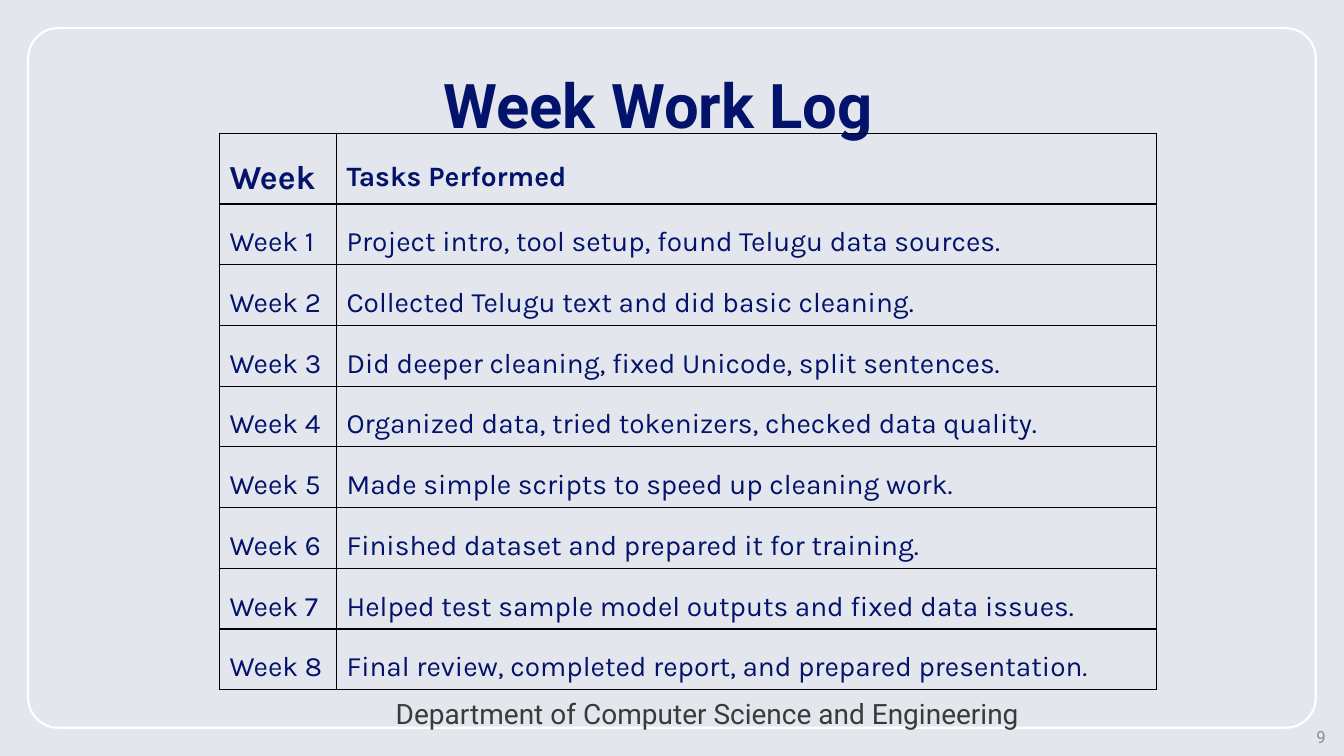
from lxml.etree import SubElement
from pptx import Presentation
from pptx.dml.color import RGBColor
from pptx.enum.shapes import MSO_SHAPE as Shape
from pptx.enum.text import MSO_ANCHOR as Anchor, MSO_AUTO_SIZE as AutoSize, PP_ALIGN as Align
from pptx.oxml.ns import qn
from pptx.util import Cm, Pt

TITLE = "Week Work Log"
DEPARTMENT = "Department of Computer Science and Engineering"
PAGE_NUMBER = "9"
HEADINGS = ("Week", "Tasks Performed")
TASKS = [
    "Project intro, tool setup, found Telugu data sources.",
    "Collected Telugu text and did basic cleaning.",
    "Did deeper cleaning, fixed Unicode, split sentences.",
    "Organized data, tried tokenizers, checked data quality.",
    "Made simple scripts to speed up cleaning work.",
    "Finished dataset and prepared it for training.",
    "Helped test sample model outputs and fixed data issues.",
    "Final review, completed report, and prepared presentation.",
]

NAVY, BLACK, WHITE = "03126A", "000000", "FFFFFF"
BACKGROUND, FOOTER_GREY, NUMBER_GREY = "E3E7ED", "3A3A3A", "8C8C8C"
SLIDE_WIDTH, SLIDE_HEIGHT, FRAME_MARGIN = 33.87, 19.05, 0.71
TABLE_LEFT, TABLE_TOP = 5.53, 3.36
COLUMN_WIDTHS = (2.95, 20.66)
HEADER_HEIGHT, ROW_HEIGHT = 1.77, 1.53


def color(hex_string):
    return RGBColor.from_string(hex_string)


def place(shape, left, top, width, height):
    shape.left, shape.top = Cm(left), Cm(top)
    shape.width, shape.height = Cm(width), Cm(height)


def write(frame, text, size=20, font="Roboto", fill=NAVY, bold=False,
          align=Align.LEFT, spacing=1.0):
    frame.word_wrap = True
    paragraph = frame.paragraphs[0]
    paragraph.alignment = align
    paragraph.line_spacing = spacing
    run = paragraph.add_run()
    run.text = text
    run.font.name, run.font.size, run.font.bold = font, Pt(size), bold
    run.font.color.rgb = color(fill)


def add_label(slide, text, box, **text_format):
    label = slide.shapes.add_textbox(*map(Cm, box))
    label.text_frame.vertical_anchor = Anchor.MIDDLE
    write(label.text_frame, text, **text_format)


def outline_cell(cell):
    """Draw a thin black border on all four sides of a cell."""
    properties = cell._tc.get_or_add_tcPr()
    for side in ("a:lnL", "a:lnR", "a:lnT", "a:lnB"):
        line = SubElement(properties, qn(side), w=str(Pt(1)))
        solid = SubElement(line, qn("a:solidFill"))
        SubElement(solid, qn("a:srgbClr"), val=BLACK)


def add_frame(slide):
    frame = slide.shapes.add_shape(Shape.ROUNDED_RECTANGLE, 0, 0, 0, 0)
    place(frame, FRAME_MARGIN, FRAME_MARGIN,
          SLIDE_WIDTH - 2 * FRAME_MARGIN, SLIDE_HEIGHT - 2 * FRAME_MARGIN)
    frame.adjustments[0] = 0.043
    frame.shadow.inherit = False
    frame.fill.background()
    frame.line.color.rgb = color(WHITE)
    frame.line.width = Pt(1.5)


def add_work_log(slide):
    rows = [HEADINGS] + [(f"Week {week}", task) for week, task in enumerate(TASKS, 1)]
    heights = [HEADER_HEIGHT] + [ROW_HEIGHT] * len(TASKS)
    table = slide.shapes.add_table(
        len(rows), len(HEADINGS), Cm(TABLE_LEFT), Cm(TABLE_TOP),
        Cm(sum(COLUMN_WIDTHS)), Cm(sum(heights))).table
    table.first_row = table.horz_banding = False
    for column, width in zip(table.columns, COLUMN_WIDTHS):
        column.width = Cm(width)
    for row_index, (texts, height) in enumerate(zip(rows, heights)):
        table.rows[row_index].height = Cm(height)
        for column_index, text in enumerate(texts):
            cell = table.cell(row_index, column_index)
            outline_cell(cell)
            cell.fill.background()
            cell.vertical_anchor = Anchor.MIDDLE
            is_corner = row_index == column_index == 0
            write(cell.text_frame, text, size=24 if is_corner else 20, font="Karla",
                  bold=row_index == 0, align=Align.JUSTIFY, spacing=1.5)


def main():
    presentation = Presentation()
    presentation.slide_width, presentation.slide_height = Cm(SLIDE_WIDTH), Cm(SLIDE_HEIGHT)
    slide = presentation.slides.add_slide(presentation.slide_layouts[5])
    slide.background.fill.solid()
    slide.background.fill.fore_color.rgb = color(BACKGROUND)

    add_frame(slide)
    title = slide.shapes.title
    place(title, 10.92, -0.58, 13.82, 4.29)
    title.text_frame.auto_size = AutoSize.NONE
    title.text_frame.vertical_anchor = Anchor.BOTTOM
    write(title.text_frame, TITLE, size=44, bold=True, spacing=0.9)

    add_label(slide, PAGE_NUMBER, (26.04, 18.24, 7.62, 0.64),
              size=12, fill=NUMBER_GREY, align=Align.RIGHT)
    add_label(slide, DEPARTMENT, (8.84, 17.42, 17.98, 1.12),
              fill=FOOTER_GREY, align=Align.CENTER)
    add_work_log(slide)
    presentation.save("out.pptx")


if __name__ == "__main__":
    main()
